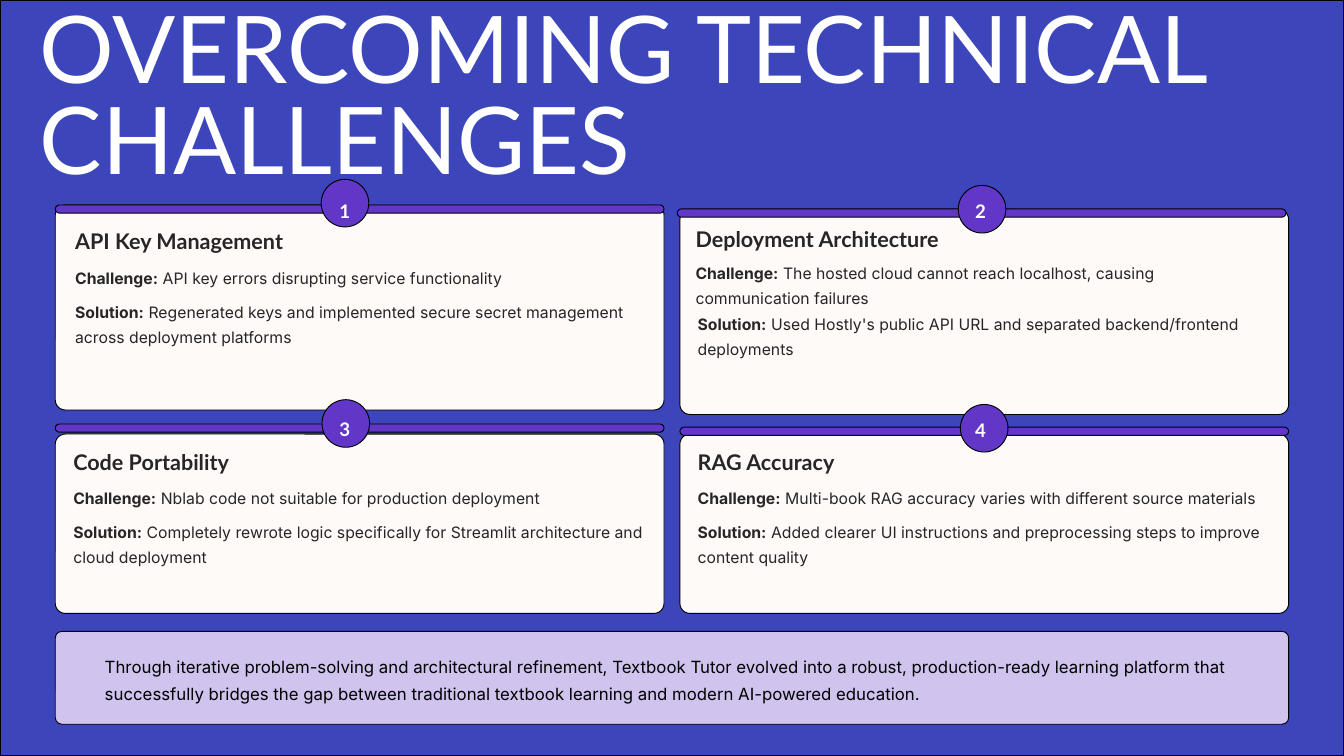
from pptx import Presentation
from pptx.dml.color import RGBColor
from pptx.enum.shapes import MSO_SHAPE as Kind
from pptx.util import Cm, Pt

WIDE, HIGH = 50.8, 28.58
BLUE, PURPLE, LILAC, CREAM = "3C45B9", "6237C8", "D0C3EE", "FDFAF7"
INK, BLACK, WHITE = "272525", "000000", "FFFFFF"

# Each card: its box, its wording, and offsets of its parts from its corner
CARDS = [
    dict(box=(2.09, 7.75, 23.01, 7.75), num="1", head="API Key Management",
         issue="API key errors disrupting service functionality",
         fix="Regenerated keys and implemented secure secret management "
             "across deployment platforms",
         bar=(0, 0), disc=(10.05, -0.97), digit=(10.74, -0.51),
         rows=[(0.75, 0.84), (0.75, 2.16), (0.75, 3.45)]),
    dict(box=(25.7, 7.92, 23.01, 7.75), num="2",
         head="Deployment Architecture",
         issue="The hosted cloud cannot reach localhost, causing "
               "communication failures",
         fix="Used Hostly's public API URL and separated "
             "backend/frontend deployments",
         bar=(-0.1, -0.02), disc=(10.52, -0.91), digit=(11.16, -0.68),
         rows=[(0.59, 0.59), (0.59, 1.83), (0.67, 3.74)]),
    dict(box=(2.09, 16.41, 23.01, 6.78), num="3", head="Code Portability",
         issue="Nblab code not suitable for production deployment",
         fix="Completely rewrote logic specifically for Streamlit "
             "architecture and cloud deployment",
         bar=(0, -0.38), disc=(10.08, -1.3), digit=(10.74, -0.92),
         rows=[(0.68, 0.53), (0.68, 1.83), (0.68, 3.12)]),
    dict(box=(25.7, 16.41, 23.01, 6.78), num="4", head="RAG Accuracy",
         issue="Multi-book RAG accuracy varies with different source "
               "materials",
         fix="Added clearer UI instructions and preprocessing steps to "
             "improve content quality",
         bar=(0, -0.26), disc=(10.6, -1.12), digit=(11.16, -0.89),
         rows=[(0.67, 0.53), (0.67, 1.83), (0.67, 3.12)]),
]


def color(code):
    return RGBColor.from_string(code)


def shape(slide, kind, box, fill, radius=None):
    part = slide.shapes.add_shape(kind, *map(Cm, box))
    part.shadow.inherit = False
    part.fill.solid()
    part.fill.fore_color.rgb = color(fill)
    part.line.color.rgb = color(BLACK)
    part.line.width = Pt(1)
    if radius is not None:
        part.adjustments[0] = radius / min(box[2:])
    return part


def text(slide, box, words, lead="", size=16.9, font="Inter", ink=INK,
         bold=False, line=26.9):
    """Add a text box; lead is a bold opening before the words."""
    frame = slide.shapes.add_textbox(*map(Cm, box)).text_frame
    frame.word_wrap = True
    frame.margin_left = frame.margin_right = 0
    frame.margin_top = frame.margin_bottom = 0
    para = frame.paragraphs[0]
    para.line_spacing = Pt(line)
    for part, heavy in ((lead, True), (words, bold)):
        if part:
            run = para.add_run()
            run.text = part
            run.font.name, run.font.size = font, Pt(size)
            run.font.bold = heavy
            run.font.color.rgb = color(ink)


def card(slide, box, num, head, issue, fix, bar, disc, digit, rows):
    left, top, width, _ = box

    def spot(shift, wide, high):
        return left + shift[0], top + shift[1], wide, high

    # Panel, top bar and number disc
    shape(slide, Kind.ROUNDED_RECTANGLE, box, CREAM, 0.38)
    shape(slide, Kind.ROUNDED_RECTANGLE, spot(bar, width, 0.31), PURPLE, 0.16)
    shape(slide, Kind.OVAL, spot(disc, 1.8, 1.8), PURPLE)
    text(slide, spot(digit, 0.71, 1.14), num, size=20, font="Lato",
         ink=WHITE, bold=True, line=32.5)

    # Heading, challenge and solution
    text(slide, spot(rows[0], 10, 1.09), head, size=23.1, font="Lato",
         bold=True, line=28.8)
    text(slide, spot(rows[1], 21.64, 1.12), " " + issue, lead="Challenge:")
    text(slide, spot(rows[2], 21.64, 2.08), " " + fix, lead="Solution:")


def closing(slide, box):
    left, top, width, _ = box
    shape(slide, Kind.ROUNDED_RECTANGLE, box, LILAC, 0.25)
    text(slide, (left + 1.87, top + 0.71, width - 2.55, 1.96),
         "Through iterative problem-solving and architectural refinement, "
         "Textbook Tutor evolved into a robust, production-ready learning "
         "platform that successfully bridges the gap between traditional "
         "textbook learning and modern AI-powered education.",
         size=18, ink=BLACK, line=28.7)


def main():
    deck = Presentation()
    deck.slide_width, deck.slide_height = Cm(WIDE), Cm(HIGH)
    slide = deck.slides.add_slide(deck.slide_layouts[6])

    shape(slide, Kind.RECTANGLE, (0, 0, WIDE, HIGH), BLUE)
    for item in CARDS:
        card(slide, **item)
    closing(slide, (2.09, 23.87, 46.62, 3.51))
    text(slide, (1.5, 0.46, 49, 7.06), "OVERCOMING TECHNICAL CHALLENGES",
         size=100, font="Lato", ink=WHITE, line=97)

    deck.save("out.pptx")


if __name__ == "__main__":
    main()
